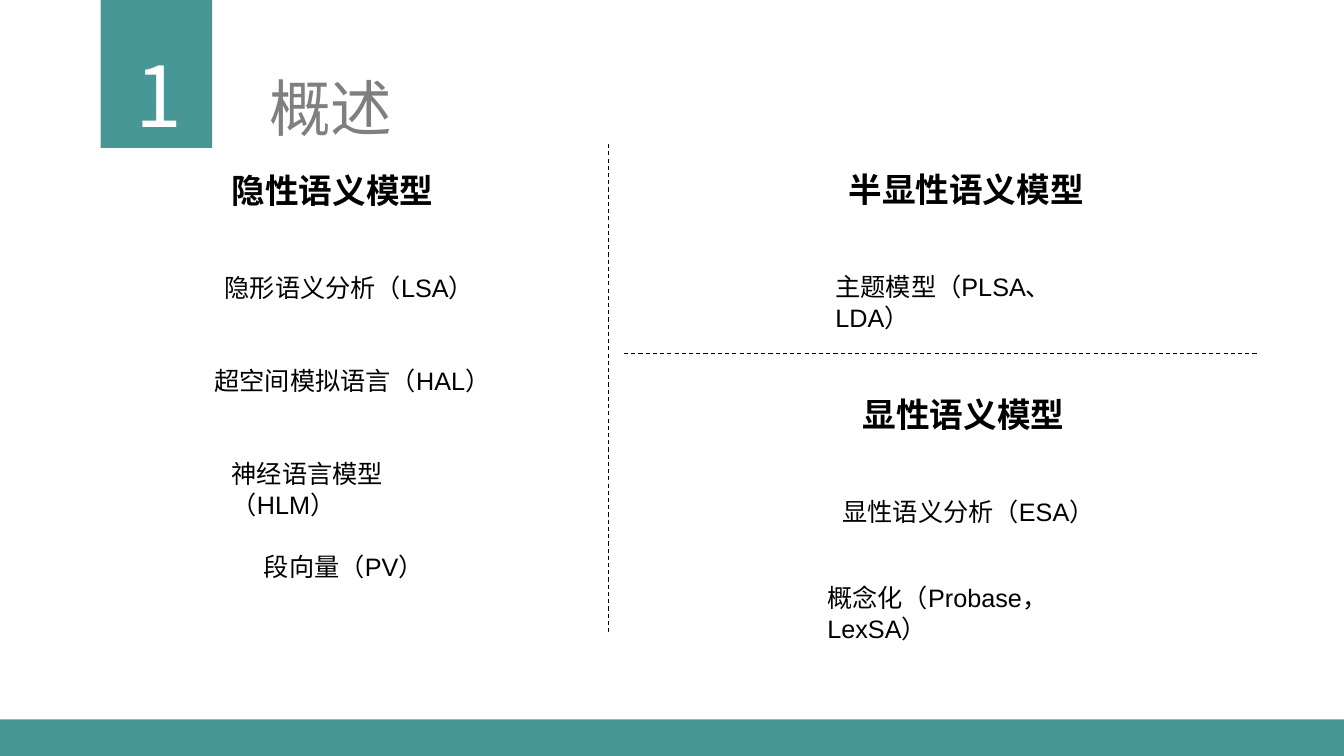
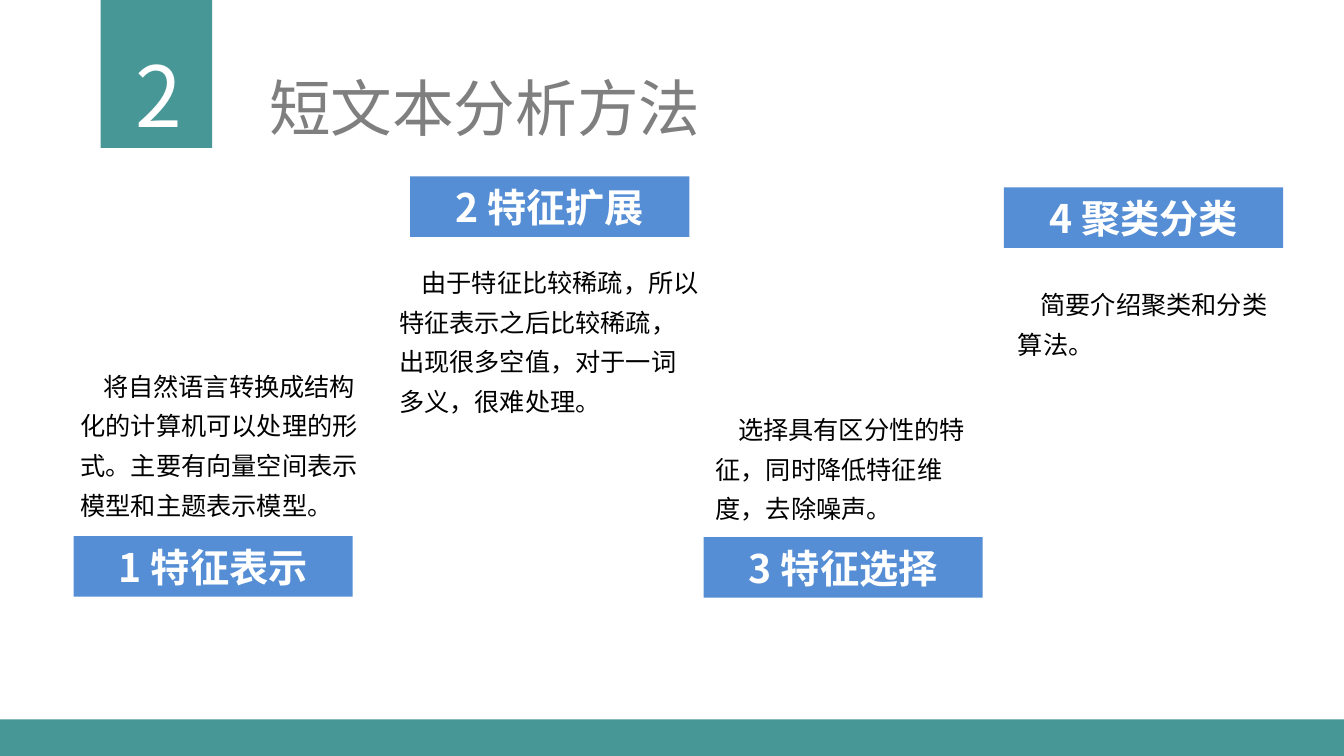
from dataclasses import dataclass

import pptx
import pptx.dml.color
import pptx.enum.dml
import pptx.enum.shapes
import pptx.enum.text
import pptx.oxml
import pptx.oxml.ns
import pptx.util

ALIGN = pptx.enum.text.PP_ALIGN
ANCHOR = pptx.enum.text.MSO_ANCHOR
COLUMNS, ROWS = 80, 45
SLIDE_WIDTH = pptx.util.Inches(13.33)
SLIDE_HEIGHT = pptx.util.Inches(7.5)


@dataclass(frozen=True)
class Theme:
    teal: str = "479796"
    blue: str = "558ED5"
    grey: str = "7F7F7F"
    black: str = "000000"
    white: str = "FFFFFF"
    title_font: str = "Noto Sans CJK SC"
    number_font: str = "Noto Sans CJK KR"
    text_font: str = "Arial"
    number_size: int = 60
    title_size: int = 44
    banner_size: int = 28
    heading_size: int = 24
    body_size: int = 18
    single_line: float = 1.28
    wrapped_line: float = 1.22
    loose_line: float = 1.57
    rule_width: float = 0.75


THEME = Theme()


@dataclass(frozen=True)
class Box:
    """An area measured in grid columns and rows."""
    left: float
    top: float
    width: float
    height: float

    def inner(self, left, top, width, height):
        return Box(self.left + left, self.top + top, width, height)

    def lengths(self):
        return (across(self.left), down(self.top),
                across(self.width), down(self.height))


def across(columns):
    return round(SLIDE_WIDTH * columns / COLUMNS)


def down(rows):
    return round(SLIDE_HEIGHT * rows / ROWS)


def color(value):
    return pptx.dml.color.RGBColor.from_string(value)


def write(shape, text, *, size=THEME.body_size, font=THEME.text_font,
          ink=THEME.black, bold=False, align=ALIGN.LEFT, anchor=ANCHOR.TOP,
          leading=None, indent=None):
    """Fill a shape with one paragraph; leading is a multiple of the size."""
    frame = shape.text_frame
    frame.word_wrap = True
    frame.auto_size = pptx.enum.text.MSO_AUTO_SIZE.NONE
    frame.vertical_anchor = anchor
    paragraph = frame.paragraphs[0]
    paragraph.alignment = align
    if leading:
        paragraph.line_spacing = pptx.util.Pt(round(size * leading, 1))
    if indent:
        paragraph._p.get_or_add_pPr().set("indent", str(across(indent)))
    run = paragraph.add_run()
    run.text = text
    run.font.size = pptx.util.Pt(size)
    run.font.name = font
    run.font.bold = bold
    run.font.color.rgb = color(ink)
    east_asian = pptx.oxml.parse_xml(
        f'<a:ea {pptx.oxml.ns.nsdecls("a")} typeface="{font}"/>')
    run._r.rPr.find(pptx.oxml.ns.qn("a:latin")).addnext(east_asian)


def add_text(slide, box, text, **text_format):
    write(slide.shapes.add_textbox(*box.lengths()), text, **text_format)


def add_rectangle(slide, box, fill):
    shape = slide.shapes.add_shape(
        pptx.enum.shapes.MSO_SHAPE.RECTANGLE, *box.lengths())
    shape.shadow.inherit = False
    shape.fill.solid()
    shape.fill.fore_color.rgb = color(fill)
    shape.line.fill.background()
    return shape


def add_dashed_rule(slide, start, end):
    rule = slide.shapes.add_connector(
        pptx.enum.shapes.MSO_CONNECTOR.STRAIGHT,
        across(start[0]), down(start[1]), across(end[0]), down(end[1]))
    rule.line.color.rgb = color(THEME.black)
    rule.line.width = pptx.util.Pt(THEME.rule_width)
    rule.line.dash_style = pptx.enum.dml.MSO_LINE.DASH
    rule._element.spPr.append(pptx.oxml.parse_xml(
        f'<a:effectLst {pptx.oxml.ns.nsdecls("a")}/>'))


def add_section_slide(presentation, number, title, number_font):
    """Add a slide with the number tab, the title and the bottom band."""
    slide = presentation.slides.add_slide(presentation.slide_layouts[5])
    tab = Box(6, 0, 6.63, 8.8)
    add_rectangle(slide, tab, THEME.teal)
    add_text(slide, tab.inner(0.18, 1.92, 6.6, 6.66), number,
             size=THEME.number_size, font=number_font, ink=THEME.white,
             align=ALIGN.CENTER, leading=THEME.single_line)
    heading = slide.shapes.title
    heading.left, heading.top, heading.width, heading.height = tab.inner(
        9.42, 3.54, 41.6, 5.04).lengths()
    write(heading, title, size=THEME.title_size, font=THEME.title_font,
          ink=THEME.grey, leading=THEME.single_line)
    add_rectangle(slide, Box(0, 42.82, COLUMNS, 2.18), THEME.teal)
    return slide


def add_model_group(slide, box, heading, heading_left, items, pitch):
    """Place a heading, then items (text, left, width) at an equal pitch."""
    add_text(slide, box.inner(heading_left, 0, 17.2, 3), heading,
             size=THEME.heading_size, bold=True, leading=THEME.wrapped_line)
    for index, (text, left, width) in enumerate(items):
        add_text(slide, box.inner(left, 6.1 + index * pitch, width, 2.4),
                 text, leading=THEME.wrapped_line)


def add_step(slide, banner, label, text, text_box):
    shape = add_rectangle(slide, banner, THEME.blue)
    write(shape, label, size=THEME.banner_size, font=THEME.title_font,
          ink=THEME.white, bold=True, align=ALIGN.CENTER,
          anchor=ANCHOR.MIDDLE)
    add_text(slide, banner.inner(*text_box), text, font=THEME.title_font,
             leading=THEME.loose_line, indent=1.34)


def build_overview(presentation):
    slide = add_section_slide(presentation, "1", "概述", THEME.number_font)
    add_model_group(slide, Box(12, 9.78, 22, 26), "隐性语义模型", 1.2, [
        ("隐形语义分析（LSA）", 0.78, 18),
        ("超空间模拟语言（HAL）", 0.18, 20.4),
        ("神经语言模型（HLM）", 1.2, 15),
        ("段向量（PV）", 3.12, 12.8),
    ], 5.54)
    add_model_group(slide, Box(48, 9.72, 24, 11), "半显性语义模型", 1.92, [
        ("主题模型（PLSA、LDA）", 1.14, 16.8),
    ], 5.16)
    add_model_group(slide, Box(48, 23.1, 24, 14), "显性语义模型", 2.76, [
        ("显性语义分析（ESA）", 1.56, 18.6),
        ("概念化（Probase，LexSA）", 0.66, 16.8),
    ], 5.16)
    add_dashed_rule(slide, (36.24, 8.58), (36.24, 37.62))
    add_dashed_rule(slide, (37.14, 21.06), (74.96, 21.06))


def build_methods(presentation):
    slide = add_section_slide(presentation, "2", "短文本分析方法",
                              THEME.title_font)
    steps = [
        (4.38, 31.92, "1 特征表示",
         "将自然语言转换成结构化的计算机可以处理的形式。"
         "主要有向量空间表示模型和主题表示模型。",
         (-0.18, -10.68, 17.88, 9.84)),
        (24.42, 10.5, "2 特征扩展",
         "由于特征比较稀疏，所以特征表示之后比较稀疏，"
         "出现很多空值，对于一词多义，很难处理。",
         (-1.26, 4.56, 19.15, 9.84)),
        (41.88, 31.98, "3 特征选择",
         "选择具有区分性的特征，同时降低特征维度，去除噪声。",
         (0.12, -8.16, 16.15, 7.44)),
        (59.76, 11.16, "4 聚类分类",
         "简要介绍聚类和分类算法。",
         (0.24, 5.22, 16.15, 5.1)),
    ]
    for left, top, label, text, text_box in steps:
        add_step(slide, Box(left, top, 16.62, 3.6), label, text, text_box)


def main():
    presentation = pptx.Presentation()
    presentation.slide_width = SLIDE_WIDTH
    presentation.slide_height = SLIDE_HEIGHT
    build_overview(presentation)
    build_methods(presentation)
    presentation.save("out.pptx")


if __name__ == "__main__":
    main()
